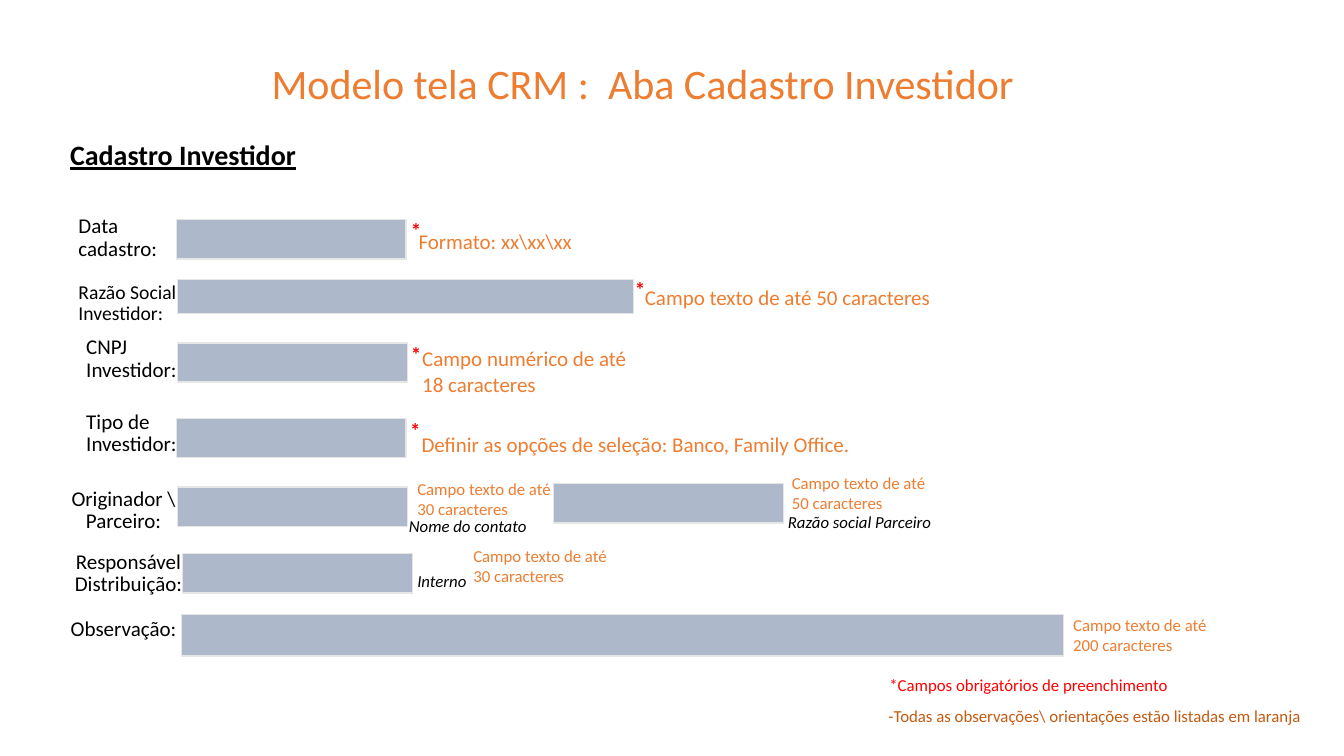
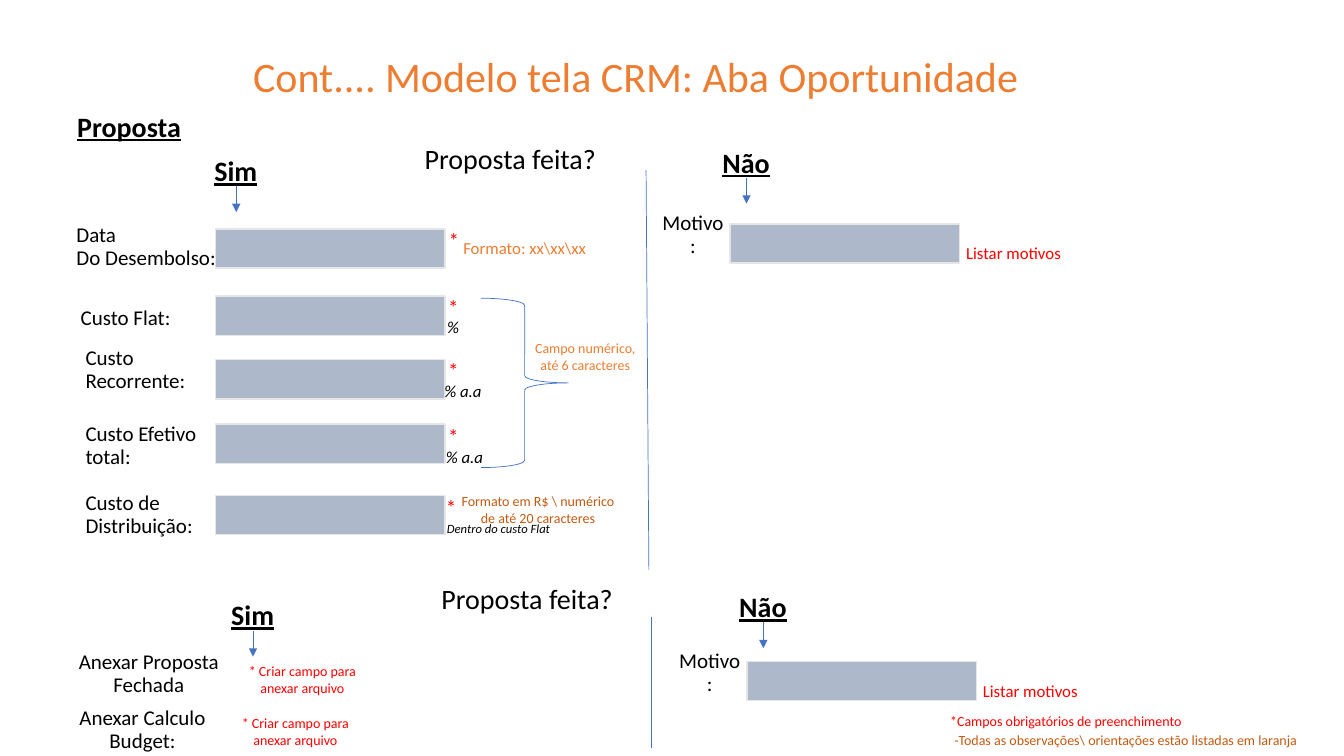
from lxml import etree
from pptx import Presentation
from pptx.dml.color import RGBColor
from pptx.enum.shapes import MSO_CONNECTOR, MSO_SHAPE
from pptx.enum.text import MSO_ANCHOR, MSO_AUTO_SIZE, PP_ALIGN
from pptx.oxml.ns import qn
from pptx.util import Pt

LEFT, CENTER = PP_ALIGN.LEFT, PP_ALIGN.CENTER
TOP, BOTTOM = MSO_ANCHOR.TOP, MSO_ANCHOR.BOTTOM
NO_FIT, GROW = MSO_AUTO_SIZE.NONE, MSO_AUTO_SIZE.SHAPE_TO_FIT_TEXT
RECTANGLE, RIGHT_BRACE = MSO_SHAPE.RECTANGLE, MSO_SHAPE.RIGHT_BRACE
STRAIGHT = MSO_CONNECTOR.STRAIGHT

FONT = "Calibri"
BLACK, RED, ORANGE, DARK_ORANGE = "000000", "FF0000", "ED7D31", "C55A11"
FIELD_FILL, FIELD_LINE, BLUE = "ADB9CA", "E7E6E6", "4472C4"
FIELD_WIDTH, FIELD_HEIGHT = 164, 28


def color(hex_value):
    """Return the colour for a hex string."""
    return RGBColor.from_string(hex_value)


class FormDeck:
    """Hold the form style and the slide being filled."""

    def __init__(self):
        """Start a widescreen presentation."""
        self.presentation = Presentation()
        self.presentation.slide_width = Pt(960)
        self.presentation.slide_height = Pt(540)
        self.slide = None

    def new_slide(self, title, left, top):
        """Add a slide and place its title."""
        self.slide = self.presentation.slides.add_slide(self.presentation.slide_layouts[5])
        shape = self.slide.shapes.title
        shape.left, shape.top, shape.width, shape.height = Pt(left), Pt(top), Pt(618.5), Pt(62)
        self.set_text(shape, title, 30, ORANGE, CENTER)

    def set_text(self, shape, text, size, hex_value, align, spacing=0.9, anchor=BOTTOM,
                 fit=NO_FIT, bold=False, italic=False, underline=False):
        """Put formatted text in a shape."""
        frame = shape.text_frame
        frame.text = text
        frame.word_wrap = True
        frame.auto_size = fit
        frame.vertical_anchor = anchor
        for paragraph in frame.paragraphs:
            paragraph.alignment = align
            paragraph.line_spacing = spacing
            for run in paragraph.runs:
                font = run.font
                font.name, font.size = FONT, Pt(size)
                font.bold, font.italic, font.underline = bold, italic, underline
                font.color.rgb = color(hex_value)

    def label(self, text, left, top, width, height, size=15, hex_value=BLACK,
              align=LEFT, **style):
        """Add text that sits on the bottom of its box."""
        shape = self.slide.shapes.add_textbox(Pt(left), Pt(top), Pt(width), Pt(height))
        self.set_text(shape, text, size, hex_value, align, **style)

    def heading(self, text, left, top, width, height):
        """Add a bold underlined heading."""
        self.label(text, left, top, width, height, 20, align=CENTER, bold=True, underline=True)

    def note(self, text, left, top, width, height, size=12, hex_value=ORANGE, align=LEFT):
        """Add a guidance note that grows with its text."""
        self.label(text, left, top, width, height, size, hex_value, align,
                   spacing=1.0, anchor=TOP, fit=GROW)

    def hint(self, text, left, top, width, height, size=12, align=CENTER):
        """Add an italic remark beside a field."""
        self.label(text, left, top, width, height, size, align=align, italic=True)

    def star(self, left, top, bold=False):
        """Mark a required field."""
        self.label("*", left, top, 45.5, 43, 15, RED, CENTER, bold=bold)

    def field(self, left, top, width=FIELD_WIDTH, height=FIELD_HEIGHT):
        """Add an input field."""
        shape = self.slide.shapes.add_shape(RECTANGLE, Pt(left), Pt(top), Pt(width), Pt(height))
        shape.shadow.inherit = False
        shape.fill.solid()
        shape.fill.fore_color.rgb = color(FIELD_FILL)
        shape.line.color.rgb = color(FIELD_LINE)
        shape.line.width = Pt(1)

    def brace(self, left, top, width, height):
        """Add a right brace that gathers fields."""
        shape = self.slide.shapes.add_shape(RIGHT_BRACE, Pt(left), Pt(top), Pt(width), Pt(height))
        shape.shadow.inherit = False
        shape.fill.background()
        shape.line.color.rgb = color(BLUE)
        shape.line.width = Pt(0.5)

    def line(self, start_x, start_y, end_x, end_y, arrow=False):
        """Add a thin line, with an arrowhead if asked."""
        connector = self.slide.shapes.add_connector(
            STRAIGHT, Pt(start_x), Pt(start_y), Pt(end_x), Pt(end_y))
        connector.line.color.rgb = color(BLUE)
        connector.line.width = Pt(0.5)
        properties = connector._element.spPr
        if arrow:
            etree.SubElement(properties.find(qn("a:ln")), qn("a:tailEnd"), type="triangle")
        etree.SubElement(properties, qn("a:effectLst"))

    def legend(self, size, required_at, guidance_at):
        """Add the two legend lines."""
        self.label("*Campos obrigatórios de preenchimento", *required_at, 233.5, 27.5,
                   size, RED, CENTER)
        self.label("-Todas as observações\\ orientações estão listadas em laranja",
                   *guidance_at, 313, 16.5, size, DARK_ORANGE, CENTER)


def build_investor(deck):
    """Build the investor registration form."""
    deck.new_slide("Modelo tela CRM :  Aba Cadastro Investidor", 150, 19.5)
    deck.heading("Cadastro Investidor", 30, 108, 201.5, 18)

    deck.label("Data\ncadastro:", 49, 167, 80, 23)
    deck.label("Razão Social Investidor:", 49, 212.5, 99.5, 23, 14)
    deck.label("CNPJ Investidor:", 54.5, 256.5, 87, 20)
    deck.label("Tipo de Investidor:", 54.5, 295, 96, 34.5)
    for text, left, top in (("Originador \\ Parceiro:", 29.5, 357),
                            ("Responsável Distribuição:", 33, 402),
                            ("Observação:", 29.5, 434)):
        deck.label(text, left, top, 117.5, 27.5, align=CENTER)

    for left, top in ((126, 157), (127, 245), (126, 299), (127, 348),
                      (395.5, 345.5), (130.5, 395.5)):
        deck.field(left, top)
    deck.field(127, 199.5, 325.5, 24.5)
    deck.field(129.5, 439, 630, 29.5)

    for left, top in ((274.5, 134.5), (434.5, 176.5), (274.5, 222.5), (274, 277)):
        deck.star(left, top, bold=True)

    deck.note("Formato: xx\\xx\\xx", 286.5, 160, 134.5, 25, 15, align=CENTER)
    deck.note("Campo texto de até 50 caracteres", 453.5, 200, 220.5, 25, 15)
    deck.note("Campo numérico de até 18 caracteres", 294.5, 243.5, 168, 44, 15)
    deck.note("Definir as opções de seleção: Banco, Family Office.", 294, 304.5, 411, 25, 15)
    for limit, left, top in ((30, 291, 338.5), (50, 558.5, 334),
                             (30, 331, 386), (200, 759.5, 435.5)):
        deck.note(f"Campo texto de até {limit} caracteres", left, top, 119, 36)

    deck.hint("Nome do contato", 285, 370, 113, 16.5, align=LEFT)
    deck.hint("Razão social Parceiro", 554.5, 367, 119, 16.5)
    deck.hint("Interno", 291, 409, 113, 16.5, align=LEFT)
    deck.legend(12, (618, 472.5), (625.5, 506))


def build_opportunity(deck):
    """Build the opportunity form."""
    deck.new_slide("Cont.... Modelo tela CRM: Aba Oportunidade", 145, 14.5)
    deck.heading("Proposta", 42.5, 78.5, 99.5, 27.5)

    deck.label("Data\nDo Desembolso:", 47.5, 164, 134.5, 32.5)
    deck.label("Custo Flat:", 50.5, 216, 99.5, 23)
    deck.label("Custo Recorrente:", 54, 264, 87, 20)
    deck.label("Custo Efetivo total:", 54, 304, 96, 34.5)
    deck.label("Custo de Distribuição:", 54, 360.5, 117.5, 27.5)
    deck.label("Anexar Proposta Fechada", 47.5, 474, 117.5, 27.5, align=CENTER)
    deck.label("Anexar Calculo Budget:", 43, 514, 117.5, 27.5, align=CENTER)

    for field_top, star_left, star_top in ((163.5, 301.5, 141), (211.5, 301, 189.5),
                                           (257, 301, 234.5), (303, 301, 281.5),
                                           (354, 299.5, 332)):
        deck.field(154, field_top)
        deck.star(star_left, star_top)

    for text, left, top in (("%", 300, 214.5), ("% a.a", 307, 260.5), ("% a.a", 308, 307.5)):
        deck.hint(text, left, top, 47.5, 29.5)
    deck.hint("Dentro do custo Flat", 311, 357, 90, 29.5, 9)

    deck.note("Formato: xx\\xx\\xx", 307.5, 166.5, 134.5, 21.5, align=CENTER)
    deck.note("Formato em R$ \\ numérico de até 20 caracteres", 318, 348, 132.5, 31.5,
              10, DARK_ORANGE, CENTER)
    deck.note("Campo numérico, até 6 caracteres", 371.5, 239, 93, 31.5, 10, align=CENTER)
    deck.brace(343.5, 213, 62.5, 121)
    for left, top in ((165, 469.5), (160, 507)):
        deck.note("* Criar campo para anexar arquivo", left, top, 102, 31.5, 10, RED, CENTER)

    for right, question_top, answer_down, reason_down in ((0, 104.5, 0, 0),
                                                          (12, 418.5, 317.5, 312.5)):
        deck.label("Proposta feita?", 280.5 + right, question_top, 168, 24.5, 20, align=CENTER)
        for answer, left, top in (("Sim", 138, 116), ("Não", 502.5, 110)):
            deck.heading(answer, left + right, top + answer_down, 61, 21.5)
            arrow_x, arrow_top = left + right + 30.75, top + answer_down + 17
            deck.line(arrow_x, arrow_top, arrow_x, arrow_top + 18.5, arrow=True)
        deck.label("Motivo:", 464.5 + right, 166.5 + reason_down, 61, 21.5, align=CENTER)
        deck.field(521.5 + right, 160 + reason_down)
        deck.note("Listar motivos", 673 + right, 170 + reason_down, 102, 21.5,
                  hex_value=RED, align=CENTER)

    deck.line(461.5, 121.5, 463.5, 407)
    deck.line(465, 440.5, 465, 534)
    deck.legend(10, (644.5, 497.5), (647.5, 521.5))


deck = FormDeck()
build_investor(deck)
build_opportunity(deck)
deck.presentation.save("out.pptx")
